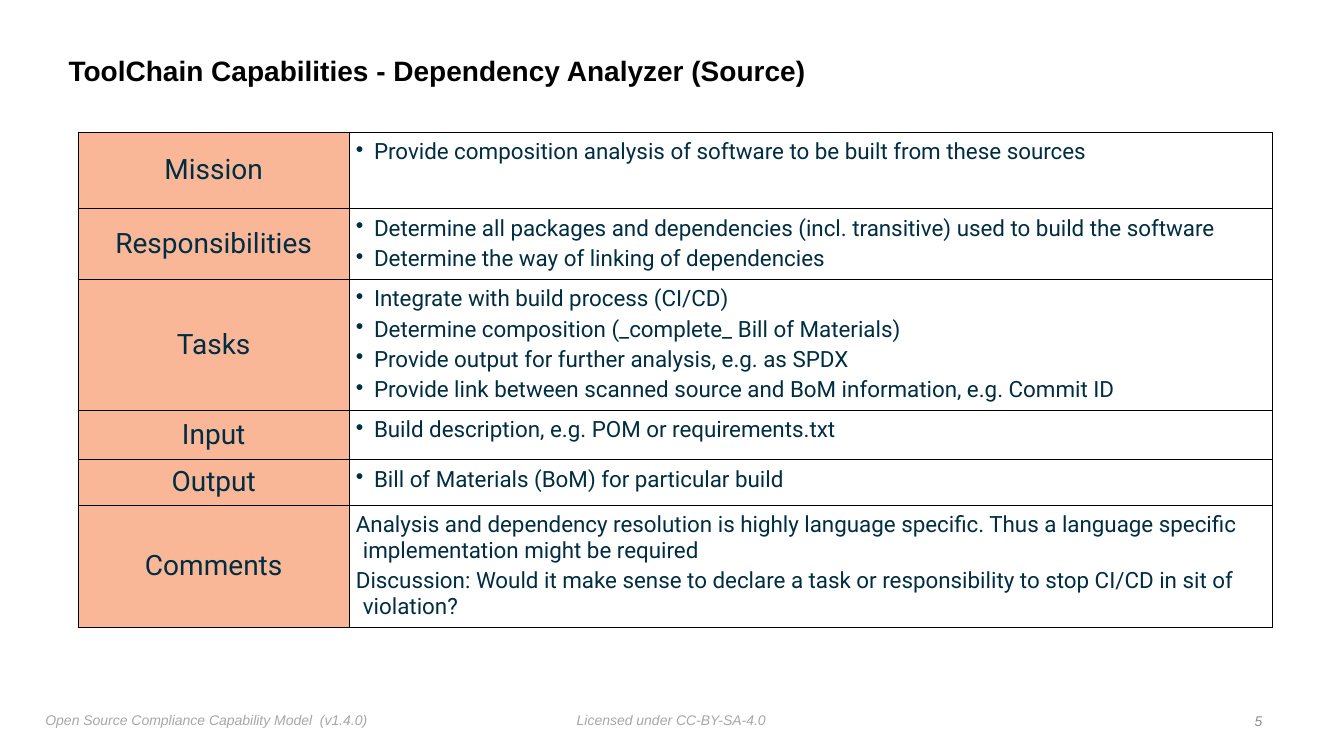
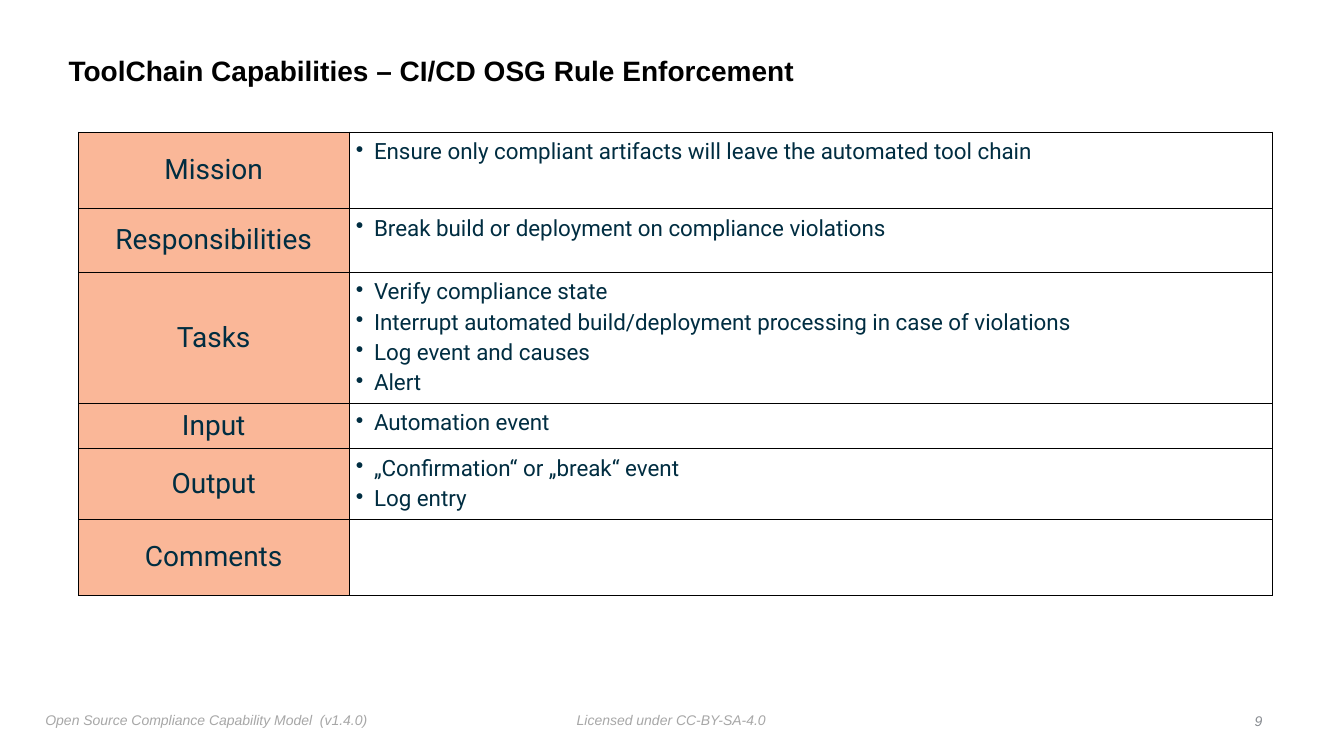
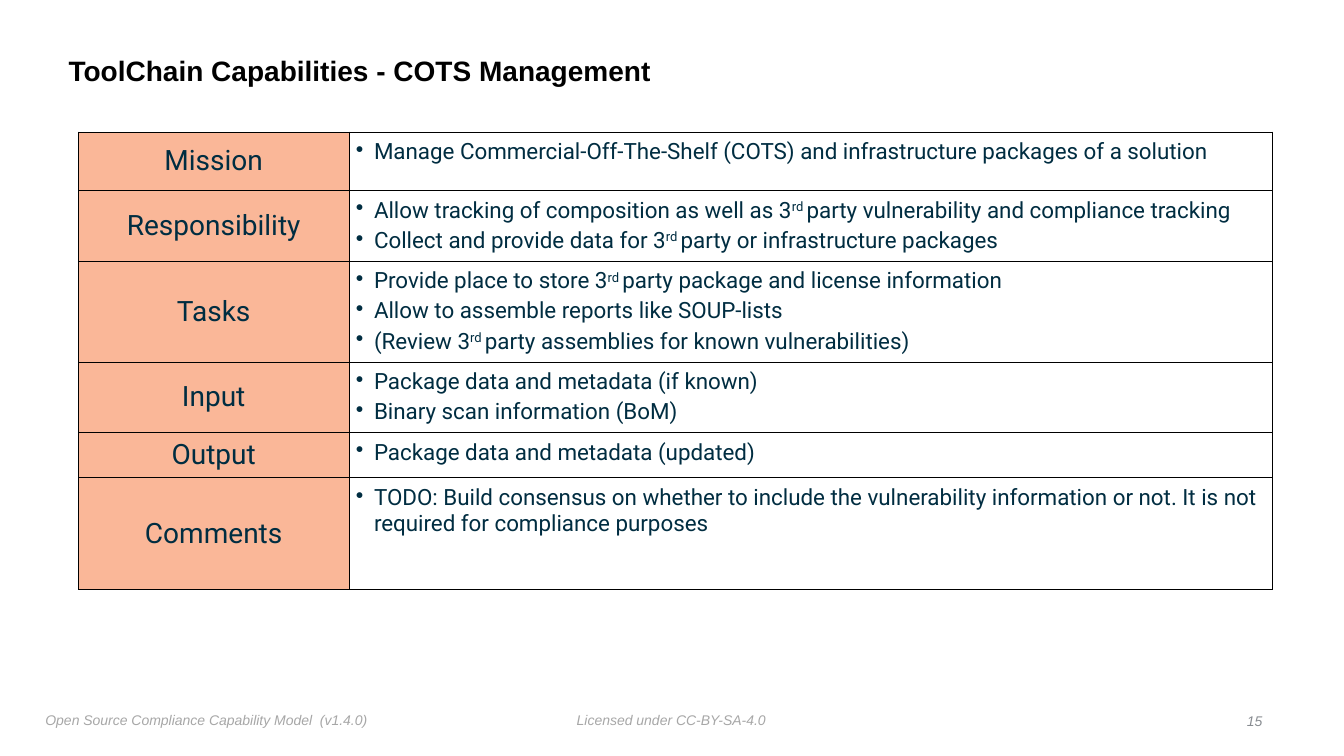
from dataclasses import dataclass

from lxml.etree import SubElement
from pptx import Presentation
from pptx.dml.color import RGBColor as Rgb
from pptx.enum.text import MSO_ANCHOR as Anchor
from pptx.enum.text import MSO_AUTO_SIZE as AutoSize
from pptx.enum.text import PP_ALIGN as Align
from pptx.oxml.ns import qn
from pptx.util import Pt

PX = 9144


@dataclass(frozen=True)
class Theme:
    black: str = "000000"
    ink: str = "002D41"
    peach: str = "FAB798"
    footer_grey: str = "A7A7A7"
    number_grey: str = "888C91"
    heading_font: str = "Arial"
    table_font: str = "Roboto"
    heading_size: int = 20
    label_size: int = 20
    detail_size: int = 16
    footer_size: int = 10
    border: float = 0.5


@dataclass(frozen=True)
class Row:
    label: str
    height: int
    details: tuple = ()
    bulleted: bool = True


THEME = Theme()
SLIDE_SIZE = (1333, 750)
TITLE_BOX = (63, 39, 1075, 65)
TABLE_ORIGIN = (78, 131)
COLUMNS = (268, 916)
NUMBER_RIGHT = 1257
FOOTERS = (
    ("Licensed under CC-BY-SA-4.0", (567, 701, 199, 25)),
    ("Open Source Compliance Capability Model  (v1.4.0)", (40, 701, 332, 27)),
)

CAPABILITIES = (
    ("ToolChain Capabilities - Dependency Analyzer (Source)", 5, (
        Row("Mission", 76, (
            "Provide composition analysis of software to be built from these sources",)),
        Row("Responsibilities", 70, (
            "Determine all packages and dependencies (incl. transitive) used to build the software",
            "Determine the way of linking of dependencies")),
        Row("Tasks", 130, (
            "Integrate with build process (CI/CD)",
            "Determine composition (_complete_ Bill of Materials)",
            "Provide output for further analysis, e.g. as SPDX",
            "Provide link between scanned source and BoM information, e.g. Commit ID")),
        Row("Input", 49, ("Build description, e.g. POM or requirements.txt",)),
        Row("Output", 45, ("Bill of Materials (BoM) for particular build",)),
        Row("Comments", 121, (
            "Analysis and dependency resolution is highly language specific. "
            "Thus a language specific implementation might be required",
            "Discussion: Would it make sense to declare a task or responsibility "
            "to stop CI/CD in sit of violation?"), bulleted=False),
    )),
    ("ToolChain Capabilities – CI/CD OSG Rule Enforcement", 9, (
        Row("Mission", 76, (
            "Ensure only compliant artifacts will leave the automated tool chain",)),
        Row("Responsibilities", 63, ("Break build or deployment on compliance violations",)),
        Row("Tasks", 130, (
            "Verify compliance state",
            "Interrupt automated build/deployment processing in case of violations",
            "Log event and causes",
            "Alert")),
        Row("Input", 45, ("Automation event",)),
        Row("Output", 70, ("„Confirmation“ or „break“ event", "Log entry")),
        Row("Comments", 76),
    )),
    ("ToolChain Capabilities - COTS Management", 15, (
        Row("Mission", 58, (
            "Manage Commercial-Off-The-Shelf (COTS) and infrastructure packages of a solution",)),
        Row("Responsibility", 70, (
            "Allow tracking of composition as well as 3^rd ^party vulnerability and compliance tracking",
            "Collect and provide data for 3^rd ^party or infrastructure packages")),
        Row("Tasks", 100, (
            "Provide place to store 3^rd ^party package and license information",
            "Allow to assemble reports like SOUP-lists",
            "(Review 3^rd ^party assemblies for known vulnerabilities)")),
        Row("Input", 70, ("Package data and metadata (if known)", "Binary scan information (BoM)")),
        Row("Output", 45, ("Package data and metadata (updated)",)),
        Row("Comments", 111, (
            "TODO: Build consensus on whether to include the vulnerability information or not. "
            "It is not required for compliance purposes",)),
    )),
)


def emu(lengths):
    return [length * PX for length in lengths]


def set_font(paragraph, name, size, color, bold=False, italic=False):
    font = paragraph.font
    font.name, font.size = name, Pt(size)
    font.bold, font.italic = bold, italic
    font.color.rgb = Rgb.from_string(color)


def set_margins(holder, inset):
    holder.margin_left = holder.margin_top = inset * PX
    holder.margin_right = holder.margin_bottom = inset * PX


def add_footer_text(slide, box, text, color, align=Align.LEFT, anchor=Anchor.TOP):
    footer = slide.shapes.add_textbox(*emu(box))
    frame = footer.text_frame
    frame.word_wrap = False
    frame.auto_size = AutoSize.SHAPE_TO_FIT_TEXT
    frame.vertical_anchor = anchor
    set_margins(frame, 5)
    line = frame.paragraphs[0]
    line.text = text
    line.alignment = align
    set_font(line, THEME.heading_font, THEME.footer_size, color, italic=True)
    return footer


def move_footers_to_layout(slide, layout):
    for holder in list(layout.placeholders):
        if holder.placeholder_format.idx:
            holder.element.getparent().remove(holder.element)
    for text, box in FOOTERS:
        footer = add_footer_text(slide, box, text, THEME.footer_grey)
        layout.shapes.element.append(footer.element)


def set_title(slide, box, text):
    title = slide.shapes.title
    title.left, title.top, title.width, title.height = emu(box)
    frame = title.text_frame
    frame.auto_size = AutoSize.NONE
    frame.vertical_anchor = Anchor.MIDDLE
    set_margins(frame, 5)
    heading = frame.paragraphs[0]
    heading.text = text
    heading.alignment = Align.LEFT
    heading.line_spacing = 0.9
    set_font(heading, THEME.heading_font, THEME.heading_size, THEME.black, bold=True)


def set_borders(cell):
    properties = cell._tc.get_or_add_tcPr()
    for side in ("a:lnL", "a:lnR", "a:lnT", "a:lnB"):
        edge = SubElement(properties, qn(side), w=str(Pt(THEME.border)))
        SubElement(SubElement(edge, qn("a:solidFill")), qn("a:srgbClr"), val=THEME.black)


def fill_label(cell, label):
    set_borders(cell)
    cell.fill.solid()
    cell.fill.fore_color.rgb = Rgb.from_string(THEME.peach)
    cell.vertical_anchor = Anchor.MIDDLE
    set_margins(cell, 0)
    name = cell.text_frame.paragraphs[0]
    name.text = label
    name.alignment = Align.CENTER
    set_font(name, THEME.table_font, THEME.label_size, THEME.ink)


def write_detail(paragraph, text, bulleted):
    paragraph.space_before = Pt(3)
    indent = (18 if bulleted else 7) * PX
    properties = paragraph._p.get_or_add_pPr()
    properties.set("marL", str(indent))
    properties.set("indent", str(-indent))
    if bulleted:
        SubElement(properties, qn("a:buChar"), char="•")
    set_font(paragraph, THEME.table_font, THEME.detail_size, THEME.ink)
    for position, part in enumerate(text.split("^")):
        run = paragraph.add_run()
        run.text = part
        if position % 2:
            run._r.get_or_add_rPr().set("baseline", "30000")


def fill_details(cell, row):
    set_borders(cell)
    cell.fill.background()
    set_margins(cell, 7)
    frame = cell.text_frame
    for position, text in enumerate(row.details):
        paragraph = frame.add_paragraph() if position else frame.paragraphs[0]
        write_detail(paragraph, text, row.bulleted)


def add_capability_table(slide, origin, rows):
    size = (sum(COLUMNS), sum(row.height for row in rows))
    table = slide.shapes.add_table(len(rows), len(COLUMNS), *emu(origin + size)).table
    table.first_row = table.horz_banding = False
    for column, width in zip(table.columns, COLUMNS):
        column.width = width * PX
    for position, row in enumerate(rows):
        table.rows[position].height = row.height * PX
        fill_label(table.cell(position, 0), row.label)
        fill_details(table.cell(position, 1), row)


def add_page_number(slide, number):
    text = str(number)
    width = 11 + 8 * len(text)
    add_footer_text(slide, (NUMBER_RIGHT - width, 703, width, 25), text,
                    THEME.number_grey, Align.RIGHT, Anchor.MIDDLE)


def add_capability_slide(deck, layout, title, number, rows):
    slide = deck.slides.add_slide(layout)
    if len(deck.slides) == 1:
        move_footers_to_layout(slide, layout)
    set_title(slide, TITLE_BOX, title)
    add_capability_table(slide, TABLE_ORIGIN, rows)
    add_page_number(slide, number)


def main():
    deck = Presentation()
    deck.slide_width, deck.slide_height = emu(SLIDE_SIZE)
    layout = deck.slide_layouts[5]
    for title, number, rows in CAPABILITIES:
        add_capability_slide(deck, layout, title, number, rows)
    deck.save("out.pptx")


if __name__ == "__main__":
    main()
